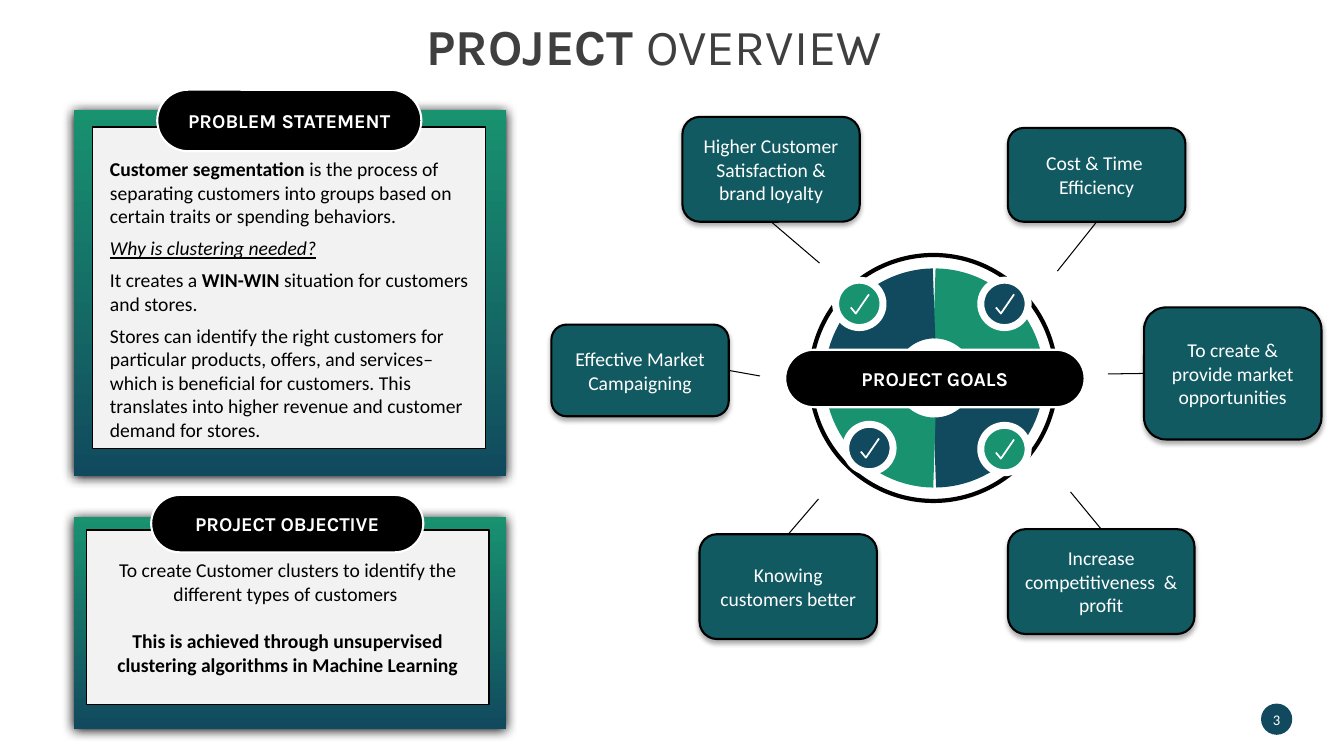
from lxml import etree
from pptx import Presentation
from pptx import util as u
from pptx.dml.color import RGBColor
from pptx.enum import shapes, text
from pptx.oxml.ns import qn

# Grid: every length is a number of columns or rows, a tenth of an inch each
CELL = u.Inches(0.1)
COLUMNS, ROWS = 133.33, 75

BLACK = RGBColor(0x00, 0x00, 0x00)
WHITE = RGBColor(0xFF, 0xFF, 0xFF)
GREEN = RGBColor(0x18, 0x92, 0x6F)
NAVY = RGBColor(0x11, 0x4A, 0x5E)
TEAL = RGBColor(0x12, 0x5A, 0x62)
PAPER = RGBColor(0xF2, 0xF2, 0xF2)
TITLE_GREY = RGBColor(0x3F, 0x3F, 0x3F)

BODY_FONT, HEADING_FONT = "Calibri", "Karla"
TOP, LEFT, BOTTOM, RIGHT = range(4)  # connection sites of a card

PROBLEM = [
    [("Customer segmentation\u00a0", "b"),
     ("is the process of separating customers into groups based on "
      "certain traits or spending behaviors.", "")],
    [("Why is clustering needed?", "iu")],
    [("It creates a ", ""), ("WIN-WIN ", "b"),
     ("situation for customers and stores.", "")],
    [("Stores can identify the right customers for particular products, "
      "offers, and services– which is beneficial for customers. This "
      "translates into higher revenue and customer demand for stores.", "")],
]
OBJECTIVE = [
    [("To create Customer clusters to identify the different types of "
      "customers ", "")],
    [("This is achieved through unsupervised clustering algorithms in "
      "Machine Learning", "b")],
]

# Card text, box, point near the wheel, side where the line meets the card
GOALS = [
    ("Higher Customer Satisfaction & brand loyalty",
     (67.7, 11.6, 17.6, 10.4), (81.3, 26.1), BOTTOM),
    ("Cost & Time  Efficiency",
     (100, 12.7, 17.6, 9.3), (104.9, 26.9), BOTTOM),
    ("Effective Market Campaigning",
     (54.7, 32.2, 17.6, 9.1), (75.4, 37.3), RIGHT),
    ("Knowing customers better",
     (69.4, 53, 17.6, 10.4), (81.2, 49.5), TOP),
    ("Increase competitiveness  & profit",
     (100, 52.5, 18.5, 10.4), (106.2, 48.8), TOP),
    ("To create & provide market opportunities",
     (113.5, 30.5, 17.6, 13.1), (109.9, 37.1), LEFT),
]


def grid(*lengths):
    return [round(length * CELL) for length in lengths]


def add_shape(slide, kind, box, fill=None, line=None, width=1):
    shape = slide.shapes.add_shape(kind, *grid(*box))
    shape.shadow.inherit = False
    paint(shape, fill, line, width)
    return shape


def paint(shape, fill, line, width):
    if fill is None:
        shape.fill.background()
    else:
        shape.fill.solid()
        shape.fill.fore_color.rgb = fill
    if line is None:
        shape.line.fill.background()
    else:
        shape.line.color.rgb = line
        shape.line.width = u.Pt(width)


def add_shadow(shape, blur, distance, opacity):
    effects = shape._element.spPr.find(qn("a:effectLst"))
    shadow = etree.SubElement(
        effects, qn("a:outerShdw"), blurRad=str(u.Pt(blur)),
        dist=str(u.Pt(distance)), dir="5400000", algn="ctr", rotWithShape="0")
    color = etree.SubElement(shadow, qn("a:srgbClr"), val="000000")
    etree.SubElement(color, qn("a:alpha"), val=str(opacity * 1000))


def write(shape, paragraphs, size=14, font=BODY_FONT, color=BLACK, gap=0,
          align=text.PP_ALIGN.CENTER, anchor=text.MSO_ANCHOR.MIDDLE):
    """Fill a shape with paragraphs of (words, style letters) runs."""
    frame = shape.text_frame
    frame.word_wrap = True
    frame.vertical_anchor = anchor
    for index, runs in enumerate(paragraphs):
        paragraph = frame.add_paragraph() if index else frame.paragraphs[0]
        paragraph.alignment = align
        paragraph.space_before = u.Pt(gap if index else 0)
        for words, style in runs:
            run = paragraph.add_run()
            run.text = words
            run.font.name, run.font.size = font, u.Pt(size)
            run.font.color.rgb = color
            run.font.bold = "b" in style
            run.font.italic = "i" in style
            run.font.underline = "u" in style
    return frame


def add_pill(slide, label, box):
    pill = add_shape(slide, shapes.MSO_SHAPE.ROUNDED_RECTANGLE, box,
                     BLACK, WHITE, 1.5)
    pill.adjustments[0] = 0.5
    write(pill, [[(label, "b")]], font=HEADING_FONT, color=WHITE)


def add_panel(slide, frame_box, paper_box):
    """Gradient frame with a sheet of paper on it."""
    frame = add_shape(slide, shapes.MSO_SHAPE.RECTANGLE, frame_box)
    frame.fill.gradient()
    frame.fill.gradient_angle = 270
    for stop, color in zip(frame.fill.gradient_stops, (GREEN, NAVY)):
        stop.color.rgb = color
    add_shadow(frame, 8.5, 1, 100)
    return add_shape(slide, shapes.MSO_SHAPE.RECTANGLE, paper_box,
                     PAPER, BLACK)


def add_badge(slide, left, top, color):
    """Disc with a check mark."""
    add_shape(slide, shapes.MSO_SHAPE.OVAL, (left, top, 4.7, 4.7),
              color, WHITE, 5)
    points = [grid(left + x, top + y)
              for x, y in ((3.3, 1.4), (2, 3.3), (1.5, 2.7))]
    builder = slide.shapes.build_freeform(*points[0])
    builder.add_line_segments(points[1:], close=False)
    check = builder.convert_to_shape()
    check.shadow.inherit = False
    paint(check, None, WHITE, 1.25)


def add_wheel(slide):
    add_shape(slide, shapes.MSO_SHAPE.OVAL, (80.4, 25.3, 24.4, 24.4),
              WHITE, BLACK, 3)
    # Quarters run clockwise from the top
    for quarter, color in enumerate((GREEN, NAVY, GREEN, NAVY)):
        start = (270 + 90 * quarter) % 360
        arc = add_shape(slide, shapes.MSO_SHAPE.ARC, (85.3, 30.1, 14.8, 14.8),
                        None, color, 50)
        # Adjustment units are 0.6 per degree
        arc.adjustments[0] = start * 0.6
        arc.adjustments[1] = (start + 89.7) % 360 * 0.6
    for left, top, color in ((82.9, 27.8, GREEN), (83.9, 42.1, NAVY),
                             (97.3, 27.8, NAVY), (97.3, 42.2, GREEN)):
        add_badge(slide, left, top, color)
    add_pill(slide, "PROJECT GOALS", (77.9, 34.7, 29.7, 5.7))


def add_goal(slide, label, box, wheel_point, side):
    card = add_shape(slide, shapes.MSO_SHAPE.ROUNDED_RECTANGLE, box,
                     TEAL, BLACK, 1.5)
    add_shadow(card, 3.5, 2.2, 32)
    write(card, [[(label, "")]], color=WHITE)
    line = slide.shapes.add_connector(
        shapes.MSO_CONNECTOR.STRAIGHT, *grid(*wheel_point, *wheel_point))
    line.end_connect(card, side)
    line.line.color.rgb = BLACK
    line.line.width = u.Pt(0.75)
    etree.SubElement(line._element.spPr, qn("a:effectLst"))


def main():
    presentation = Presentation()
    presentation.slide_width, presentation.slide_height = grid(COLUMNS, ROWS)
    slide = presentation.slides.add_slide(presentation.slide_layouts[6])

    # Title
    title = slide.shapes.add_textbox(*grid(7.4, 1.7, 115, 6.2))
    frame = write(title, [[("PROJECT ", "b"), ("OVERVIEW", "")]], 36,
                  HEADING_FONT, TITLE_GREY, anchor=text.MSO_ANCHOR.BOTTOM)
    frame.paragraphs[0].line_spacing = 0.8

    # Problem statement
    add_panel(slide, (7.3, 10.9, 42.9, 36.3), (9.2, 12.6, 39, 31.9))
    add_pill(slide, "PROBLEM STATEMENT", (15.6, 8.9, 26.2, 6.1))
    problem = slide.shapes.add_textbox(*grid(10.9, 15.6, 35.9, 22.4))
    frame = write(problem, PROBLEM, gap=6, align=text.PP_ALIGN.LEFT,
                  anchor=text.MSO_ANCHOR.TOP)
    frame.margin_left = frame.margin_right = 0
    frame.margin_top = frame.margin_bottom = 0

    # Project objective
    paper = add_panel(slide, (7.3, 51.3, 42.9, 21), (8.6, 52.6, 39.9, 17.3))
    write(paper, OBJECTIVE, gap=17)
    add_pill(slide, "PROJECT OBJECTIVE", (15, 49.1, 27, 5.7))

    # Project goals
    add_wheel(slide)
    for goal in GOALS:
        add_goal(slide, *goal)

    # Page number
    add_shape(slide, shapes.MSO_SHAPE.OVAL, (125.1, 69.8, 3.1, 3.1), NAVY)
    number = slide.shapes.add_textbox(*grid(125.1, 70.1, 3.1, 2.6))
    write(number, [[("3", "")]], 10.5, color=WHITE)

    presentation.save("out.pptx")


if __name__ == "__main__":
    main()
